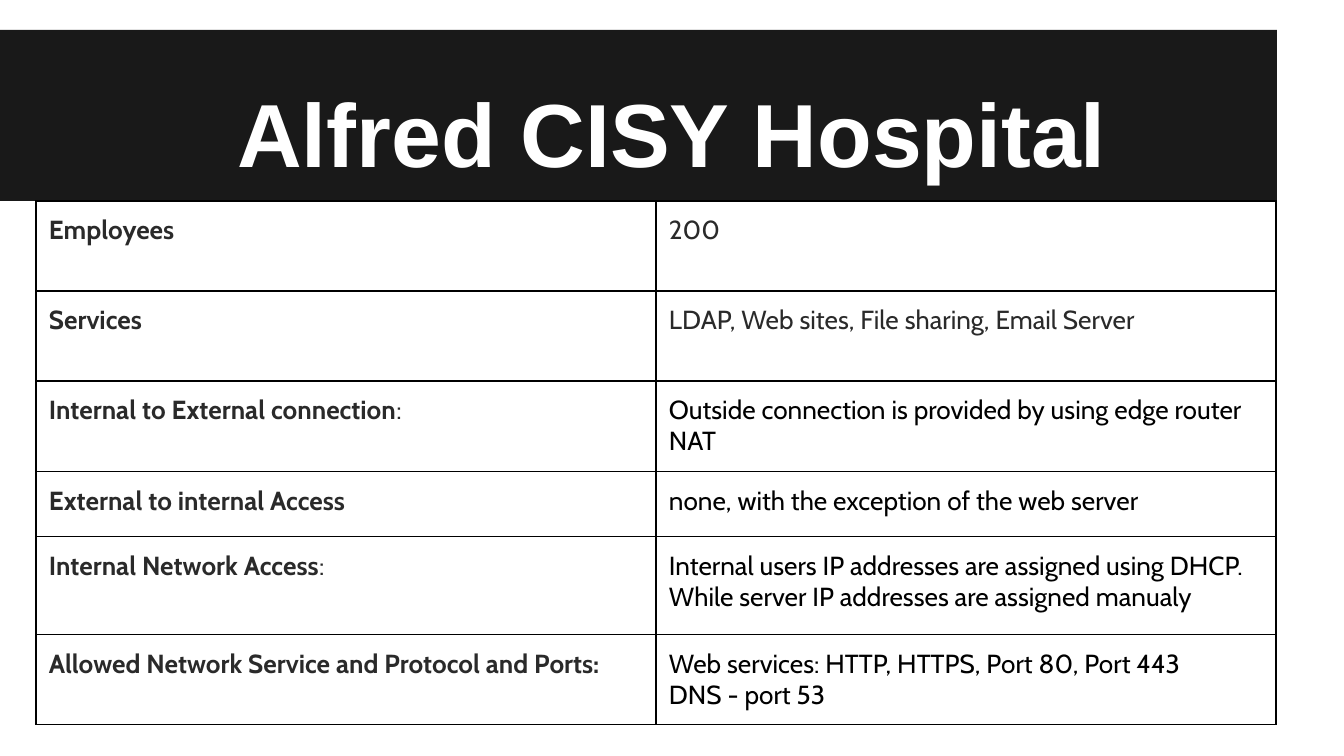
import pptx
import pptx.dml.color
import pptx.enum.shapes
import pptx.enum.text
import pptx.oxml
import pptx.oxml.ns
import pptx.util

PX = 914400 / 134.4
INSET = 13
BLACK = pptx.dml.color.RGBColor(0x00, 0x00, 0x00)
CHARCOAL = pptx.dml.color.RGBColor(0x19, 0x19, 0x19)
GREY = pptx.dml.color.RGBColor(0x2A, 0x2A, 0x2A)
WHITE = pptx.dml.color.RGBColor(0xFF, 0xFF, 0xFF)

COLUMN_WIDTH = 620
DETAILS = [
    (90, "Employees", "", "200", GREY),
    (90, "Services", "", "LDAP, Web sites, File sharing, Email Server", GREY),
    (91, "Internal to External connection", ":",
     "Outside connection is provided by using edge router NAT", BLACK),
    (65, "External to internal Access", "",
     "none, with the exception of the web server", BLACK),
    (98, "Internal Network Access", ":",
     "Internal users IP addresses are assigned using DHCP. "
     "While server IP addresses are assigned manualy", BLACK),
    (90, "Allowed Network Service and Protocol and Ports:", "",
     "Web services: HTTP, HTTPS, Port 80, Port 443\nDNS - port 53", BLACK),
]


def px(length):
    return pptx.util.Emu(round(length * PX))


def format_run(run, font, size, color, bold):
    run.font.name = font
    run.font.size = pptx.util.Pt(size)
    run.font.color.rgb = color
    run.font.bold = bold


def set_insets(target):
    target.margin_left = target.margin_right = px(INSET)
    target.margin_top = target.margin_bottom = px(INSET)


def add_heading(slide, text):
    heading = slide.shapes.title
    heading.left, heading.top = px(67), px(31)
    heading.width, heading.height = px(1210), px(168)
    frame = heading.text_frame
    frame.text = text
    frame.word_wrap = True
    frame.auto_size = pptx.enum.text.MSO_AUTO_SIZE.NONE
    frame.vertical_anchor = pptx.enum.text.MSO_ANCHOR.BOTTOM
    set_insets(frame)
    line = frame.paragraphs[0]
    line.alignment = pptx.enum.text.PP_ALIGN.CENTER
    format_run(line.runs[0], "Arial", 48, WHITE, True)
    return heading


def add_band(slide, heading):
    band = slide.shapes.add_shape(
        pptx.enum.shapes.MSO_SHAPE.RECTANGLE, 0, px(30), px(1277), px(171))
    band.shadow.inherit = False
    band.fill.solid()
    band.fill.fore_color.rgb = CHARCOAL
    band.line.fill.background()
    heading.element.addprevious(band.element)


def add_borders(cell):
    properties = cell._tc.get_or_add_tcPr()
    for side in ("lnL", "lnR", "lnT", "lnB"):
        properties.append(pptx.oxml.parse_xml(
            f'<a:{side} {pptx.oxml.ns.nsdecls("a")} w="{pptx.util.Pt(0.75)}">'
            f'<a:solidFill><a:srgbClr val="{BLACK}"/></a:solidFill></a:{side}>'))


def fill_cell(cell, text, color, bold, suffix=""):
    cell.text_frame.text = text
    for paragraph in cell.text_frame.paragraphs:
        for run in paragraph.runs:
            format_run(run, "Cabin", 14, color, bold)
    if suffix:
        ending = cell.text_frame.paragraphs[-1].add_run()
        ending.text = suffix
        format_run(ending, "Cabin", 14, color, False)
    set_insets(cell)
    add_borders(cell)
    cell.fill.background()


def add_details(slide):
    total = sum(detail[0] for detail in DETAILS)
    table = slide.shapes.add_table(
        len(DETAILS), 2, px(36), px(201), px(2 * COLUMN_WIDTH), px(total)).table
    table.first_row = False
    table.horz_banding = False
    for column in table.columns:
        column.width = px(COLUMN_WIDTH)
    for row, (height, label, suffix, value, color) in zip(table.rows, DETAILS):
        row.height = px(height)
        fill_cell(row.cells[0], label, GREY, True, suffix)
        fill_cell(row.cells[1], value, color, False)


def main():
    presentation = pptx.Presentation()
    presentation.slide_width = px(1344)
    presentation.slide_height = px(756)
    slide = presentation.slides.add_slide(presentation.slide_layouts[5])
    heading = add_heading(slide, "Alfred CISY Hospital")
    add_band(slide, heading)
    add_details(slide)
    presentation.save("out.pptx")


if __name__ == "__main__":
    main()
